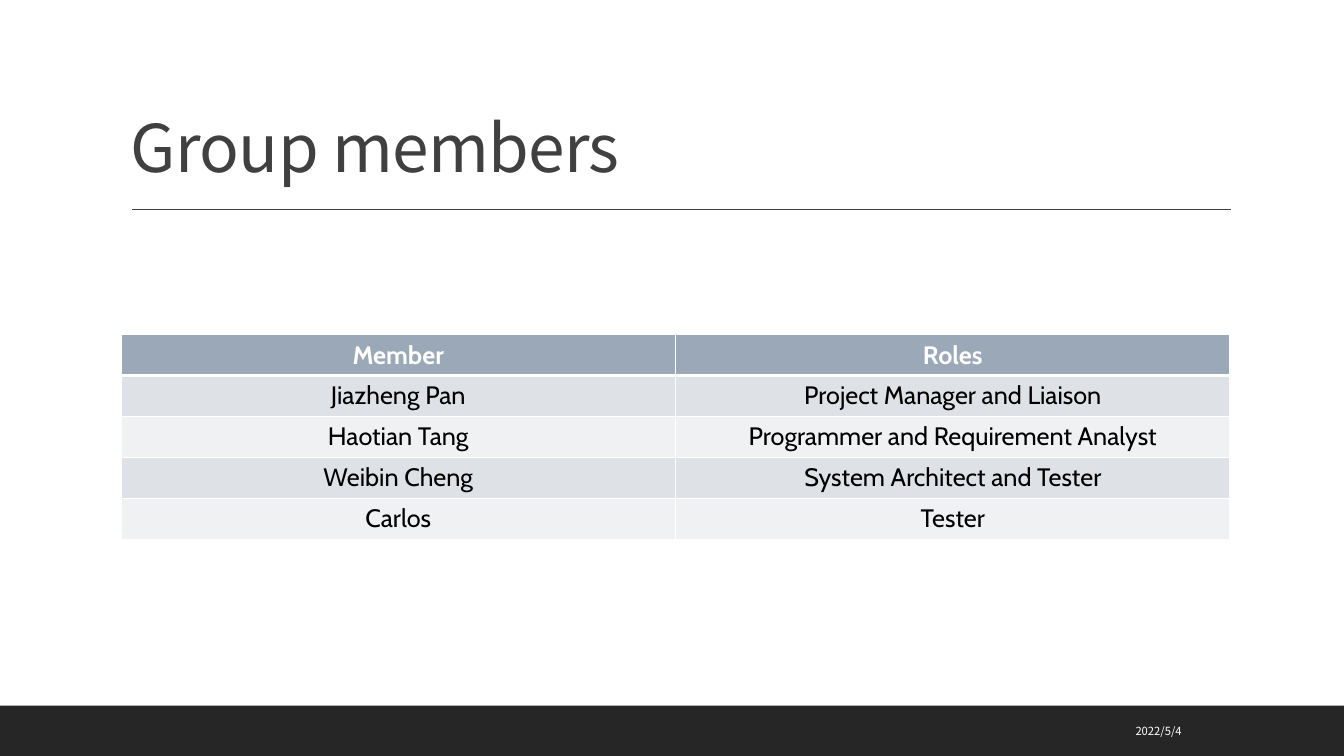
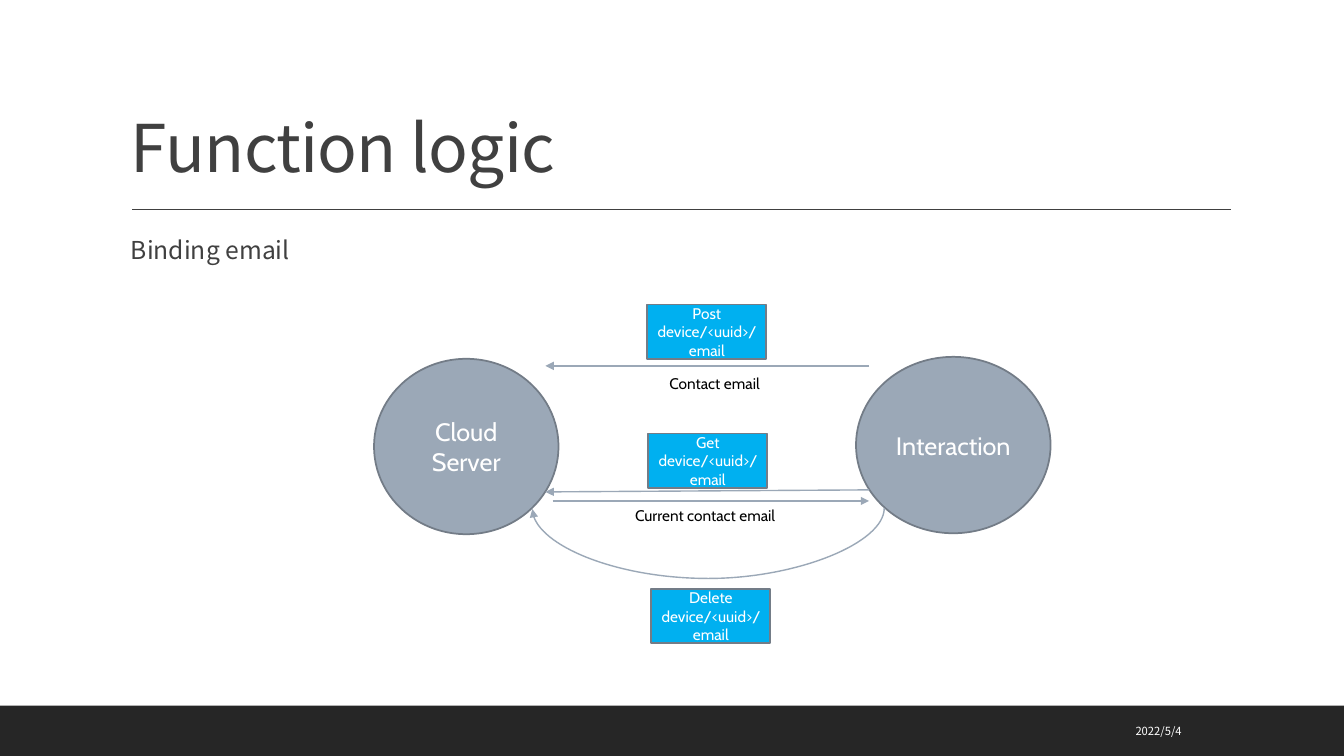
from dataclasses import dataclass

from lxml import etree
from pptx import Presentation
from pptx.dml.color import RGBColor
from pptx.enum.shapes import MSO_CONNECTOR, MSO_SHAPE
from pptx.enum.text import MSO_ANCHOR, PP_ALIGN
from pptx.oxml.ns import qn
from pptx.shapes.connector import Connector
from pptx.slide import Slide
from pptx.table import _Cell as Cell
from pptx.text.text import TextFrame
from pptx.util import Emu, Pt

RECT, OVAL = MSO_SHAPE.RECTANGLE, MSO_SHAPE.OVAL
LINE, CURVE = MSO_CONNECTOR.STRAIGHT, MSO_CONNECTOR.CURVE
TOP, MIDDLE, BOTTOM = MSO_ANCHOR.TOP, MSO_ANCHOR.MIDDLE, MSO_ANCHOR.BOTTOM
LEFT, CENTER, RIGHT = PP_ALIGN.LEFT, PP_ALIGN.CENTER, PP_ALIGN.RIGHT
SCALE = 9144
WIDE, HIGH = 1333, 750


@dataclass(frozen=True)
class Theme:
    """Colours, fonts and type sizes of the deck."""

    white: str = "FFFFFF"
    black: str = "000000"
    ink: str = "404040"
    band: str = "262626"
    slate: str = "9BA8B7"
    edge: str = "737C87"
    sky: str = "00B0F0"
    rows: tuple[str, str] = ("DEE1E6", "EFF1F3")
    head_font: str = "Noto Sans CJK SC"
    body_font: str = "Cabin"
    title: float = 47
    lead: float = 17.6
    body: float = 18
    small: float = 11
    date: float = 8


THEME = Theme()


@dataclass(frozen=True)
class Box:
    """A frame in px."""

    left: int
    top: int
    width: int
    height: int

    def emu(self) -> tuple[Emu, Emu, Emu, Emu]:
        """Return the frame in EMU."""
        return px(self.left), px(self.top), px(self.width), px(self.height)


@dataclass(frozen=True)
class Style:
    """The look of one block of text."""

    size: float
    color: str
    font: str = THEME.body_font
    align: PP_ALIGN = CENTER
    anchor: MSO_ANCHOR = MIDDLE
    bold: bool = False
    space: float = 1
    track: int = 0


@dataclass(frozen=True)
class Node:
    """A filled shape with its label."""

    text: str
    box: Box
    kind: MSO_SHAPE
    fill: str
    size: float


@dataclass(frozen=True)
class Arrow:
    """A straight arrow between two points in px."""

    x1: int
    y1: int
    x2: int
    y2: int


TITLE = Style(THEME.title, THEME.ink, THEME.head_font, LEFT, BOTTOM, space=0.9, track=-50)
LEAD = Style(THEME.lead, THEME.ink, THEME.head_font, LEFT, TOP, space=0.9)
DATE = Style(THEME.date, THEME.white, THEME.head_font, RIGHT)
NOTE = Style(THEME.small, THEME.black, align=LEFT, anchor=TOP)
HEAD = Style(THEME.body, THEME.white, anchor=TOP, bold=True)
ENTRY = Style(THEME.body, THEME.black, anchor=TOP)

MEMBERS = (
    ("Member", "Roles"),
    ("Jiazheng Pan", "Project Manager and Liaison"),
    ("Haotian Tang", "Programmer and Requirement Analyst"),
    ("Weibin Cheng", "System Architect and Tester"),
    ("Carlos", "Tester"),
)
ENDS = (
    Node("Interaction", Box(849, 354, 193, 175), OVAL, THEME.slate, THEME.body),
    Node("Cloud Server", Box(371, 356, 183, 174), OVAL, THEME.slate, THEME.body),
)
CALLS = tuple(
    Node(f"{verb} device/<uuid>/email", Box(left, top, 118, 54), RECT, THEME.sky, THEME.small)
    for verb, left, top in (("Post", 642, 302), ("Get", 643, 430), ("Delete", 646, 584))
)
ARROWS = (
    Arrow(862, 363, 541, 363),
    Arrow(862, 486, 541, 488),
    Arrow(548, 497, 862, 497),
)
NOTES = (
    ("Contact email", Box(654, 366, 118, 29)),
    ("Current contact email", Box(620, 497, 169, 29)),
)


def px(count: int) -> Emu:
    """Turn px into EMU."""
    return Emu(count * SCALE)


def rgb(color: str) -> RGBColor:
    """Turn a hex string into a colour."""
    return RGBColor.from_string(color)


def write(frame: TextFrame, text: str, style: Style) -> None:
    """Put one styled paragraph into a text frame."""
    frame.text = text
    para = frame.paragraphs[0]
    para.alignment, para.line_spacing = style.align, style.space
    font = para.font
    font.name, font.size, font.bold = style.font, Pt(style.size), style.bold
    font.color.rgb = rgb(style.color)
    if style.track:
        para._p.pPr.find(qn("a:defRPr")).set("spc", str(style.track))


def add_text(slide: Slide, text: str, box: Box, style: Style) -> None:
    """Add a text box that wraps."""
    frame = slide.shapes.add_textbox(*box.emu()).text_frame
    frame.word_wrap = True
    frame.vertical_anchor = style.anchor
    write(frame, text, style)


def add_node(slide: Slide, node: Node) -> None:
    """Add a filled shape with a centred label."""
    shape = slide.shapes.add_shape(node.kind, *node.box.emu())
    shape.shadow.inherit = False
    shape.fill.solid()
    shape.fill.fore_color.rgb = rgb(node.fill)
    shape.line.color.rgb = rgb(THEME.edge)
    shape.line.width = Pt(1.25)
    shape.text_frame.vertical_anchor = MIDDLE
    write(shape.text_frame, node.text, Style(node.size, THEME.white))


def add_line(slide: Slide, path: Arrow, color: str, kind: MSO_CONNECTOR = LINE,
             tip: bool = True) -> Connector:
    """Add a thin line, with an arrowhead if asked."""
    ends = (px(n) for n in (path.x1, path.y1, path.x2, path.y2))
    line = slide.shapes.add_connector(kind, *ends)
    line.line.color.rgb = rgb(color)
    line.line.width = Pt(1)
    props = line._element.spPr
    if tip:
        etree.SubElement(props.find(qn("a:ln")), qn("a:tailEnd"), type="triangle")
    etree.SubElement(props, qn("a:effectLst"))
    return line


def add_arc(slide: Slide, box: Box, depth: int) -> None:
    """Add a curved arrow, turned a quarter, that dips by a depth in px."""
    path = Arrow(box.left, box.top, box.left + box.width, box.top + box.height)
    props = add_line(slide, path, THEME.slate, CURVE)._element.spPr
    props.find(qn("a:xfrm")).set("rot", str(90 * 60000))
    geom = props.find(qn("a:prstGeom"))
    guides = geom.find(qn("a:avLst"))
    if guides is None:
        guides = etree.SubElement(geom, qn("a:avLst"))
    ratio = depth * 100000 // box.width
    etree.SubElement(guides, qn("a:gd"), name="adj1", fmla=f"val {ratio}")


def add_edge(cell: Cell, side: str, width: float) -> None:
    """Add a white border to one side of a cell."""
    line = etree.SubElement(cell._tc.get_or_add_tcPr(), qn(f"a:ln{side}"), w=str(Pt(width)))
    fill = etree.SubElement(line, qn("a:solidFill"))
    etree.SubElement(fill, qn("a:srgbClr"), val=THEME.white)


def add_grid(slide: Slide, data: tuple[tuple[str, ...], ...], box: Box) -> None:
    """Add a table with a header and banded rows."""
    table = slide.shapes.add_table(len(data), len(data[0]), *box.emu()).table
    table.first_row = table.horz_banding = False
    for row, texts in enumerate(data):
        for col, text in enumerate(texts):
            cell = table.cell(row, col)
            write(cell.text_frame, text, ENTRY if row else HEAD)
            for side in "LRTB":
                thick = (row, side) in ((0, "B"), (1, "T"))
                add_edge(cell, side, 3 if thick else 1)
            cell.fill.solid()
            shade = THEME.rows[(row - 1) % 2] if row else THEME.slate
            cell.fill.fore_color.rgb = rgb(shade)


def add_slide(deck: Presentation, title: str) -> Slide:
    """Add a slide with band, rule, title and date."""
    slide = deck.slides.add_slide(deck.slide_layouts[6])
    band = slide.shapes.add_shape(RECT, *Box(0, 700, WIDE, 50).emu())
    band.shadow.inherit = False
    band.fill.solid()
    band.fill.fore_color.rgb = rgb(THEME.band)
    band.line.fill.background()
    add_line(slide, Arrow(131, 208, 1221, 208), THEME.ink, tip=False)
    add_text(slide, title, Box(120, 31, 1100, 159), TITLE)
    add_text(slide, "2022/5/4", Box(899, 705, 283, 40), DATE)
    return slide


def add_team(deck: Presentation) -> None:
    """Add the slide of group members."""
    slide = add_slide(deck, "Group members")
    add_grid(slide, MEMBERS, Box(120, 332, 1100, 203))


def add_logic(deck: Presentation) -> None:
    """Add the slide of calls between server and client."""
    slide = add_slide(deck, "Function logic")
    add_text(slide, "Binding email", Box(120, 231, 1100, 40), LEAD)
    for node in ENDS + CALLS:
        add_node(slide, node)
    for arrow in ARROWS:
        add_line(slide, arrow, THEME.slate)
    for text, box in NOTES:
        add_text(slide, text, box, NOTE)
    add_arc(slide, Box(702, 330, 1, 349), 71)


def main() -> None:
    """Build and save the deck."""
    deck = Presentation()
    deck.slide_width, deck.slide_height = px(WIDE), px(HIGH)
    add_team(deck)
    add_logic(deck)
    deck.save("out.pptx")


if __name__ == "__main__":
    main()
